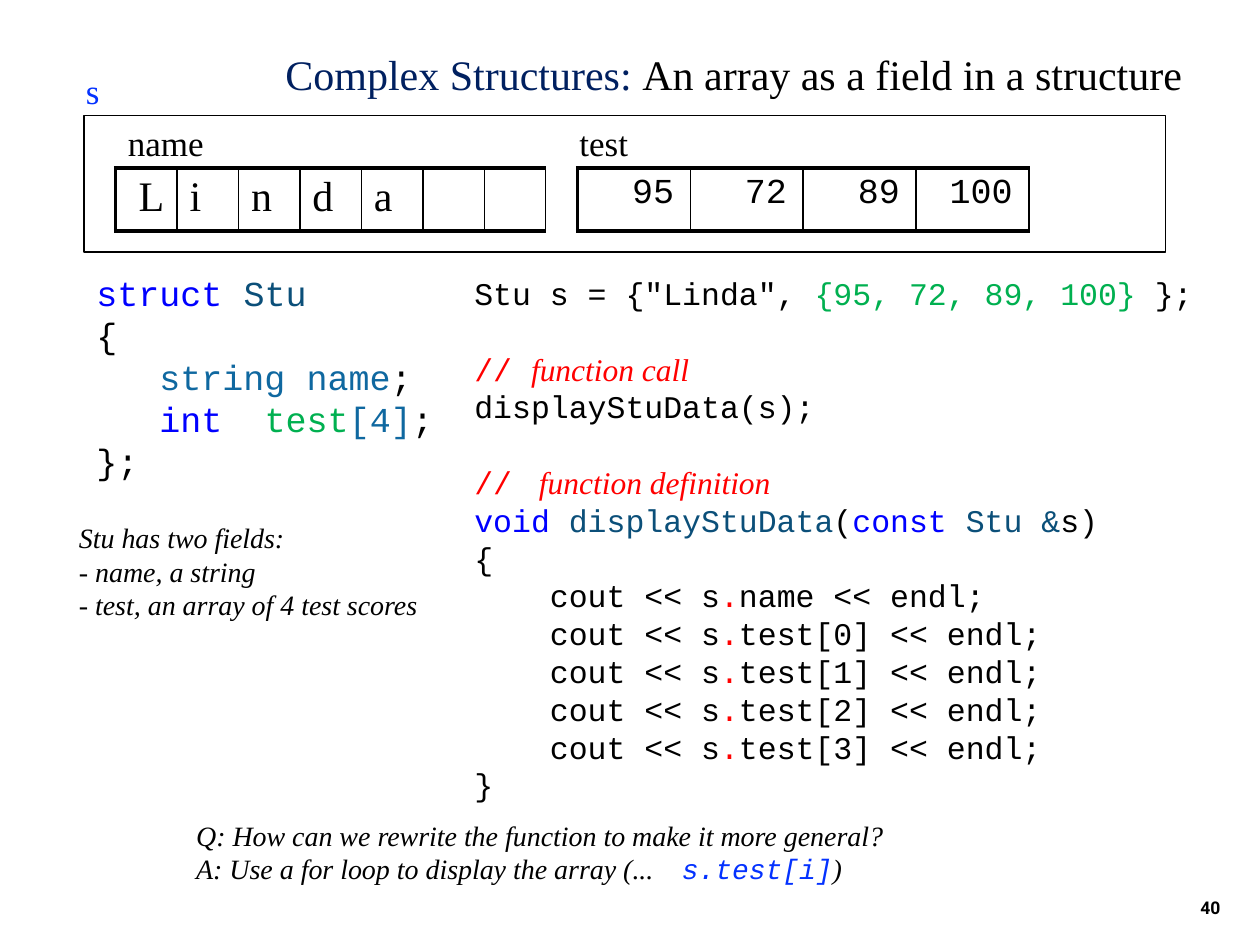
from lxml import etree
from pptx import Presentation
from pptx.dml.color import RGBColor
from pptx.enum import shapes, text
from pptx.oxml import ns
from pptx.util import Pt

SERIF, MONO = "Times New Roman", "Courier New"
BLACK, BLUE, RED, GREEN = "000000", "0000FF", "FF0000", "00B050"
TYPE, FIELD, ACCENT = "0B4F79", "0F68A0", "0432FF"


def color(code):
    """Turn a hex string into a colour."""
    return RGBColor.from_string(code)


def write(frame, lines, size=20, font=SERIF, bold=False, italic=False,
          align=text.PP_ALIGN.LEFT, leading=1.2, gaps=()):
    """Fill a frame with lines of (words, colour, optional font, optional italic)."""
    for number, line in enumerate(lines):
        paragraph = frame.paragraphs[0] if number == 0 else frame.add_paragraph()
        paragraph.alignment = align
        if leading:
            paragraph.line_spacing = Pt(size * leading)
        if number in gaps:
            paragraph.space_before = Pt(size * 1.2)
        for words, ink, *style in line:
            run = paragraph.add_run()
            run.text = words
            run.font.size = Pt(size)
            run.font.name = style[0] if style else font
            run.font.italic = style[1] if len(style) > 1 else italic
            run.font.bold = bold
            run.font.color.rgb = color(ink)


def add_text(parent, left, top, width, height, lines, inset=3.6,
             anchor=text.MSO_ANCHOR.TOP, **style):
    """Add a text box with formatted lines."""
    frame = parent.add_textbox(Pt(left), Pt(top), Pt(width), Pt(height)).text_frame
    frame.word_wrap = True
    frame.margin_top = Pt(inset)
    frame.vertical_anchor = anchor
    write(frame, lines, **style)


def add_border(cell, side, weight):
    """Draw one side of a cell in black."""
    line = etree.SubElement(cell._tc.get_or_add_tcPr(), ns.qn("a:" + side),
                            w=str(Pt(weight)))
    fill = etree.SubElement(line, ns.qn("a:solidFill"))
    etree.SubElement(fill, ns.qn("a:srgbClr"), val=BLACK)


def add_array(parent, left, width, values, first_margin=7.2, right_margin=7.2, **style):
    """Add a one-row table showing the elements of an array."""
    table = parent.add_table(1, len(values), Pt(left), Pt(96), Pt(width), Pt(36)).table
    table.first_row = table.horz_banding = False
    table.rows[0].height = Pt(36)
    for index, value in enumerate(values):
        table.columns[index].width = Pt(width / len(values))
        cell = table.cell(0, index)
        cell.margin_left = Pt(first_margin if index == 0 else 7.2)
        cell.margin_right = Pt(right_margin)
        write(cell.text_frame, [[(value, BLACK)]], leading=None, **style)
        for side, weight in (("lnL", 1 if index else 2.25), ("lnR", 1),
                             ("lnT", 2.25), ("lnB", 2.25)):
            add_border(cell, side, weight)
        cell.fill.background()


def add_variable(parent):
    """Add the outline of variable s with its labels."""
    variable = parent.add_group_shape().shapes
    add_text(variable, 66, 66, 58.5, 31.5, [[("name", BLACK)]])
    add_text(variable, 324, 66, 59, 31.5, [[("test", BLACK)]])
    outline = variable.add_shape(shapes.MSO_SHAPE.RECTANGLE,
                                 Pt(48), Pt(66), Pt(618), Pt(78))
    outline.shadow.inherit = False
    outline.fill.background()
    outline.line.color.rgb = color(BLACK)
    outline.line.width = Pt(0.75)
    add_text(variable, 42, 36, 22.5, 31.5, [[("s", ACCENT)]])


def print_field(field):
    """Return the code line that prints one field of s."""
    return [("    cout << s", BLACK), (".", RED), (field + " << endl;", BLACK)]


def main():
    """Build the slide and save it."""
    deck = Presentation()
    deck.slide_width, deck.slide_height = Pt(720), Pt(540)
    parent = deck.slides.add_slide(deck.slide_layouts[6]).shapes

    add_text(parent, 554.4, 492, 150, 36, [[("40", BLACK)]], size=10, font="Roboto",
             bold=True, align=text.PP_ALIGN.RIGHT, anchor=text.MSO_ANCHOR.BOTTOM)
    add_variable(parent)
    add_array(parent, 66, 246, [*"Linda", "", ""], first_margin=13.2, size=24)

    declaration = [
        [("struct ", BLUE), ("Stu", TYPE)],
        [("{", BLACK)],
        [("   string name", FIELD), (";", BLACK)],
        [("   int  ", BLUE), ("test", GREEN), ("[4]", FIELD), (";", BLACK)],
        [("};", BLACK)],
    ]
    add_text(parent, 48, 148.5, 208, 128, declaration, inset=6.6, font=MONO)

    program = [
        [('Stu s = {"Linda", ', BLACK), ("{95, 72, 89, 100} ", GREEN), ("};", BLACK)],
        [("// ", RED), ("function call", RED, SERIF, True)],
        [("displayStuData(s);", BLACK)],
        [("// ", RED), (" function definition", RED, SERIF, True)],
        [("void ", BLUE), ("displayStuData", TYPE), ("(", BLACK), ("const ", BLUE),
         ("Stu &", TYPE), ("s)", BLACK)],
        [("{", BLACK)],
        print_field("name"),
        *[print_field(f"test[{index}]") for index in range(4)],
        [("}", BLACK)],
    ]
    add_text(parent, 264, 150, 432, 312.5, program, inset=6.6, size=18, font=MONO,
             gaps=(1, 3))

    fields = ["Stu has two fields:", "- name, a string",
              "- test, an array of 4 test scores"]
    add_text(parent, 38, 294, 252, 65.5, [[(line, BLACK)] for line in fields],
             size=16, italic=True)
    add_text(parent, 156, 24, 552, 36,
             [[("Complex Structures: ", "002060"),
               ("An array as a field in a structure", BLACK)]], size=24)
    add_array(parent, 330, 258, ["95", "72", "89", "100"], right_margin=9.3,
              font=MONO, align=text.PP_ALIGN.RIGHT)

    question = [
        [("Q: How can we rewrite the function to make it more general?", BLACK)],
        [("A: Use a for loop to display the array (...    ", BLACK),
         ("s.test[i]", ACCENT, MONO, True), (")", BLACK)],
    ]
    add_text(parent, 105, 464, 531, 46, question, size=16, italic=True)
    deck.save("out.pptx")


if __name__ == "__main__":
    main()
